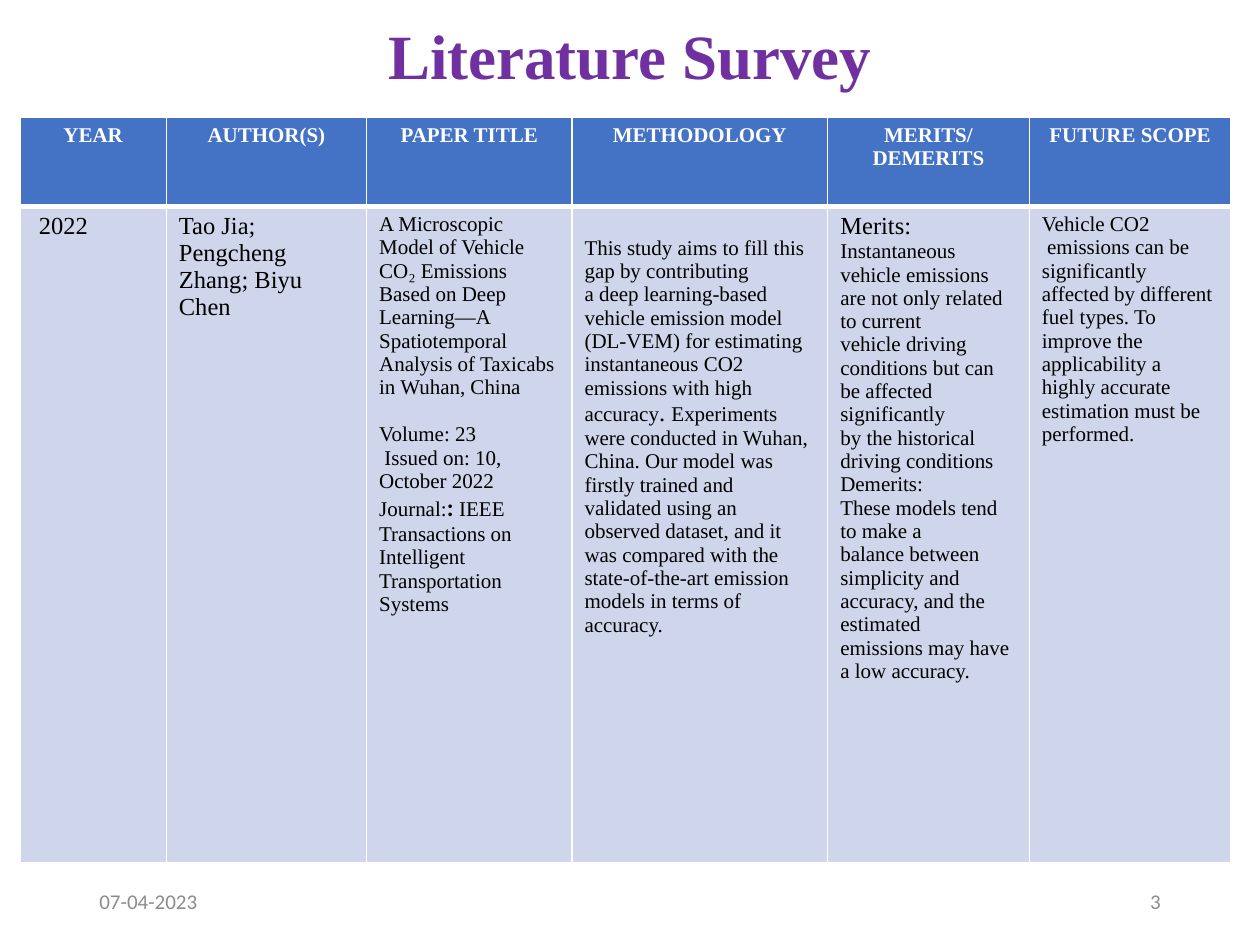
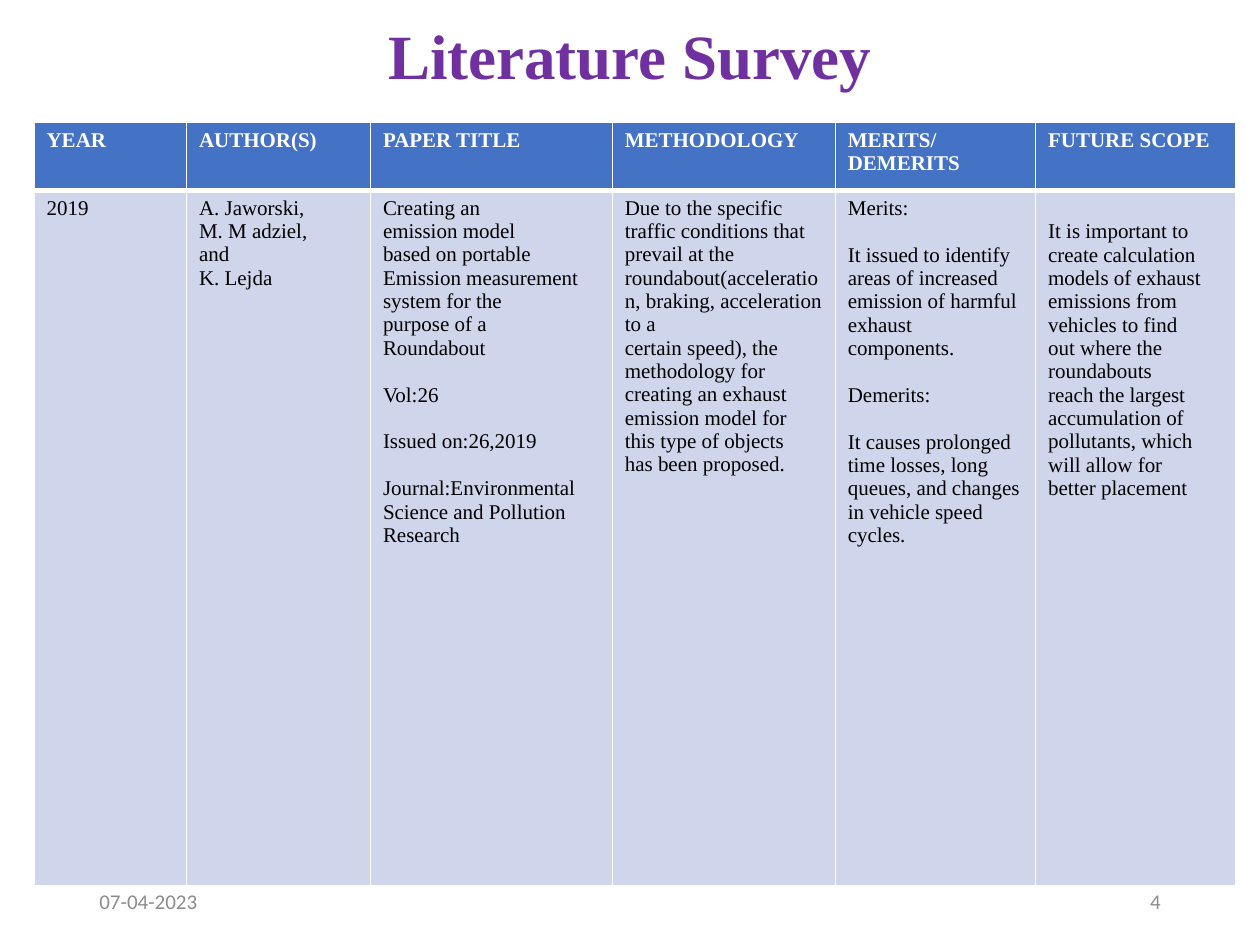
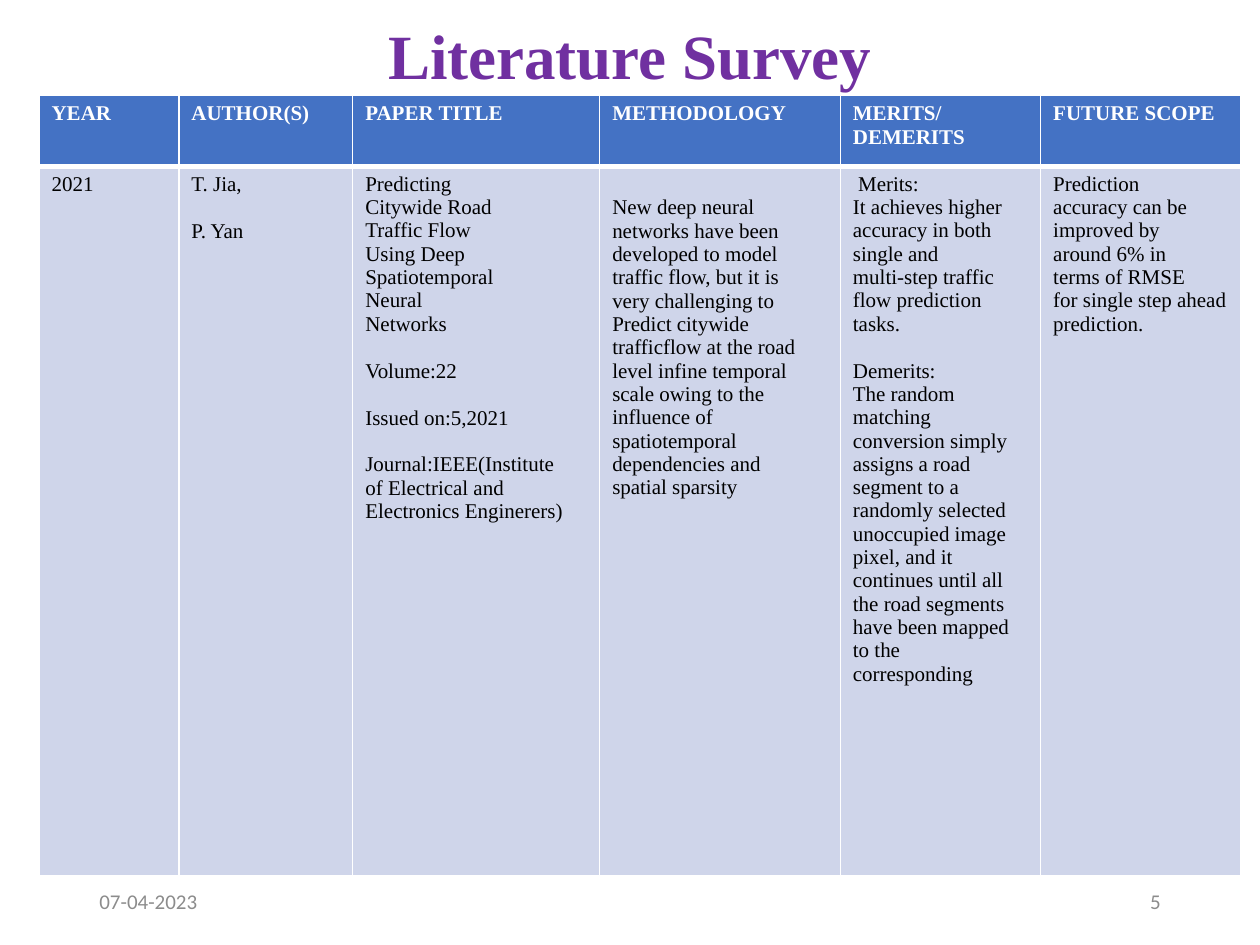
"""Build the three literature survey slides."""
from dataclasses import dataclass

from lxml.etree import SubElement
from pptx import Presentation
from pptx.dml.color import RGBColor as Color
from pptx.enum.text import MSO_ANCHOR as Anchor, MSO_AUTO_SIZE as AutoSize, PP_ALIGN as Align
from pptx.oxml.ns import qn
from pptx.util import Inches, Pt


@dataclass(frozen=True)
class Theme:
    title_color: str = "7030A0"
    header_fill: str = "4472C4"
    body_fill: str = "CFD5EA"
    white: str = "FFFFFF"
    black: str = "000000"
    footer_color: str = "8C8C8C"
    serif: str = "Times New Roman"
    sans: str = "Calibri"
    title_size: int = 36
    large_size: int = 14
    text_size: int = 12
    gap: float = 13.5
    thin: int = 1
    thick: int = 3


@dataclass(frozen=True)
class Survey:
    left: float
    top: float
    columns: tuple
    rows: tuple
    cells: tuple
    header_align: Align = Align.LEFT


HEADINGS = ("YEAR", "AUTHOR(S)", "PAPER TITLE", "METHODOLOGY", "MERITS/\nDEMERITS", "FUTURE SCOPE")
FIRST_NUMBER = 3

SURVEYS = (
    Survey(
        0.16, 0.93, (1.16, 1.59, 1.63, 2.03, 1.6, 1.6), (0.71, 5.21),
        (
            "| 2022|",
            "|Tao Jia; Pengcheng|\n|Zhang; Biyu Chen|",
            "A Microscopic Model of Vehicle CO₂ Emissions Based on Deep Learning—A "
            "Spatiotemporal Analysis of Taxicabs in Wuhan, China\n\n"
            "Volume: 23\n Issued on: 10, October 2022\n"
            "Journal:|*: |IEEE Transactions on Intelligent Transportation Systems",
            "\nThis study aims to fill this gap by contributing\n"
            "a deep learning-based vehicle emission model (DL-VEM) for estimating "
            "instantaneous CO2 emissions with high accuracy|. |Experiments were conducted "
            "in Wuhan, China. Our model was firstly trained and validated using an observed "
            "dataset, and it was compared with the state-of-the-art emission\n"
            "models in terms of accuracy.",
            "|Merits:|\nInstantaneous vehicle emissions are not only related to current\n"
            "vehicle driving conditions but can be affected significantly\n"
            "by the historical driving conditions\nDemerits:\n"
            "These models tend to make a\n"
            "balance between simplicity and accuracy, and the estimated\n"
            "emissions may have a low accuracy.",
            "Vehicle CO2\n emissions can be significantly affected by different fuel types. "
            "To improve the applicability a highly accurate estimation must be performed.",
        ),
        Align.CENTER,
    ),
    Survey(
        0.27, 0.97, (1.21, 1.46, 1.92, 1.77, 1.59, 1.59), (0.54, 5.52),
        (
            "2019",
            "A. Jaworski,\nM. M adziel,\nand\nK. Lejda",
            "Creating an\nemission model\nbased on portable\nEmission measurement\n"
            "system for the\npurpose of a\nRoundabout\n\nVol:26\n\nIssued on:26,2019\n\n"
            "Journal:Environmental\nScience and Pollution\nResearch",
            "Due to the specific\ntraffic conditions that prevail at the\n"
            "roundabout(acceleration, braking, acceleration to a\ncertain speed), the\n"
            "methodology for\ncreating an exhaust\nemission model for\n"
            "this type of objects\nhas been proposed.",
            "Merits:\n\nIt issued to identify areas of increased emission of harmful "
            "exhaust components.\n\nDemerits:\n\nIt causes prolonged time losses, long\n"
            "queues, and changes in vehicle speed cycles.",
            "\nIt is important to\ncreate calculation\nmodels of exhaust\nemissions from\n"
            "vehicles to find\nout where the\nroundabouts\nreach the largest\n"
            "accumulation of\npollutants, which\nwill allow for\nbetter placement",
        ),
    ),
    Survey(
        0.31, 0.76, (1.11, 1.38, 1.96, 1.91, 1.59, 1.59), (0.56, 5.63),
        (
            "2021",
            "T. Jia,\n\nP. Yan",
            "Predicting\nCitywide Road\nTraffic Flow\nUsing Deep\nSpatiotemporal\nNeural\n"
            "Networks\n\nVolume:22\n\nIssued on:5,2021\n\nJournal:IEEE(Institute\n"
            "of Electrical and\nElectronics Enginerers)",
            "\nNew deep neural\nnetworks have been\ndeveloped to model\n"
            "traffic flow, but it is\nvery challenging to\n"
            "Predict citywide trafficflow at the road level infine temporal scale owing to "
            "the influence of spatiotemporal\ndependencies and\nspatial sparsity",
            " Merits:\nIt achieves higher\naccuracy in both\nsingle and\n"
            "multi-step traffic\nflow prediction\ntasks.\n\nDemerits:\nThe random\n"
            "matching\nconversion simply\nassigns a road\nsegment to a\n"
            "randomly selected\nunoccupied image\npixel, and it\ncontinues until all\n"
            "the road segments\nhave been mapped to the\ncorresponding",
            "Prediction\naccuracy can be\nimproved by\naround 6% in\nterms of RMSE\n"
            "for single step ahead\nprediction.",
        ),
    ),
)


class SurveyDeck:
    """Hold the theme and the current page, and draw each kind of element."""

    def __init__(self, theme):
        self.theme = theme
        self.deck = Presentation()
        self.deck.slide_width, self.deck.slide_height = Inches(10), Inches(7.5)
        self.page = None

    def style(self, span, size, color, font, bold=False):
        span.font.size, span.font.name, span.font.bold = Pt(size), font, bold
        span.font.color.rgb = Color.from_string(color)

    def add_page(self, title):
        theme = self.theme
        self.page = self.deck.slides.add_slide(self.deck.slide_layouts[5])
        box = self.page.shapes.title
        box.left, box.top = Inches(0.69), Inches(0.18)
        box.width, box.height = Inches(8.62), Inches(0.58)
        frame = box.text_frame
        frame.text = title
        frame.auto_size, frame.vertical_anchor = AutoSize.NONE, Anchor.MIDDLE
        para = frame.paragraphs[0]
        para.alignment, para.line_spacing = Align.CENTER, 0.9
        self.style(para.runs[0], theme.title_size, theme.title_color, theme.serif, True)

    def add_footer(self, text, left, align):
        theme = self.theme
        box = self.page.shapes.add_textbox(Inches(left), Inches(6.95), Inches(2.25), Inches(0.4))
        frame = box.text_frame
        frame.text = text
        frame.word_wrap, frame.vertical_anchor = True, Anchor.MIDDLE
        para = frame.paragraphs[0]
        para.alignment = align
        self.style(para.runs[0], theme.text_size, theme.footer_color, theme.sans)

    def add_table(self, survey):
        theme = self.theme
        grid = self.page.shapes.add_table(
            2, len(HEADINGS), Inches(survey.left), Inches(survey.top),
            Inches(sum(survey.columns)), Inches(sum(survey.rows))).table
        for column, width in zip(grid.columns, survey.columns):
            column.width = Inches(width)
        for row, height in zip(grid.rows, survey.rows):
            row.height = Inches(height)
        for index, (heading, text) in enumerate(zip(HEADINGS, survey.cells)):
            header, body = grid.cell(0, index), grid.cell(1, index)
            self.frame_cell(header, theme.header_fill, theme.thin, theme.thick)
            self.fill_text(header, heading, theme.white, True, survey.header_align)
            self.frame_cell(body, theme.body_fill, theme.thick, theme.thin)
            self.fill_text(body, text, theme.black)

    def frame_cell(self, cell, fill, top, bottom):
        thin = self.theme.thin
        properties = cell._tc.get_or_add_tcPr()
        for side, width in (("L", thin), ("R", thin), ("T", top), ("B", bottom)):
            line = SubElement(properties, qn(f"a:ln{side}"), w=str(Pt(width)))
            SubElement(SubElement(line, qn("a:solidFill")), qn("a:srgbClr"), val=self.theme.white)
        cell.fill.solid()
        cell.fill.fore_color.rgb = Color.from_string(fill)

    def fill_text(self, cell, text, color, bold=False, align=Align.LEFT):
        """Put a gap at each empty line, and enlarge the pieces between bars."""
        theme = self.theme
        if text.startswith("\n"):
            cell.margin_top = Inches(0.05) + Pt(theme.gap)
        blocks = [block.split("\n") for block in text.lstrip("\n").split("\n\n")]
        lines = [(line, number > 0 and place == 0)
                 for number, block in enumerate(blocks) for place, line in enumerate(block)]
        frame = cell.text_frame
        frame.text = "\n".join(line.replace("|", "") for line, _ in lines)
        for para, (line, after_gap) in zip(frame.paragraphs, lines):
            para.alignment = align
            if after_gap:
                para.space_before = Pt(theme.gap)
            para.text = ""
            for order, piece in enumerate(line.split("|")):
                if not piece:
                    continue
                strong = piece.startswith("*")
                span = para.add_run()
                span.text = piece.lstrip("*")
                self.style(span, theme.large_size if order % 2 else theme.text_size, color,
                           theme.sans if strong else theme.serif, bold or strong)


def main():
    survey_deck = SurveyDeck(Theme())
    for number, survey in enumerate(SURVEYS, FIRST_NUMBER):
        survey_deck.add_page("Literature Survey")
        survey_deck.add_footer("07-04-2023", 0.69, Align.LEFT)
        survey_deck.add_footer(str(number), 7.06, Align.RIGHT)
        survey_deck.add_table(survey)
    survey_deck.deck.save("out.pptx")


if __name__ == "__main__":
    main()
